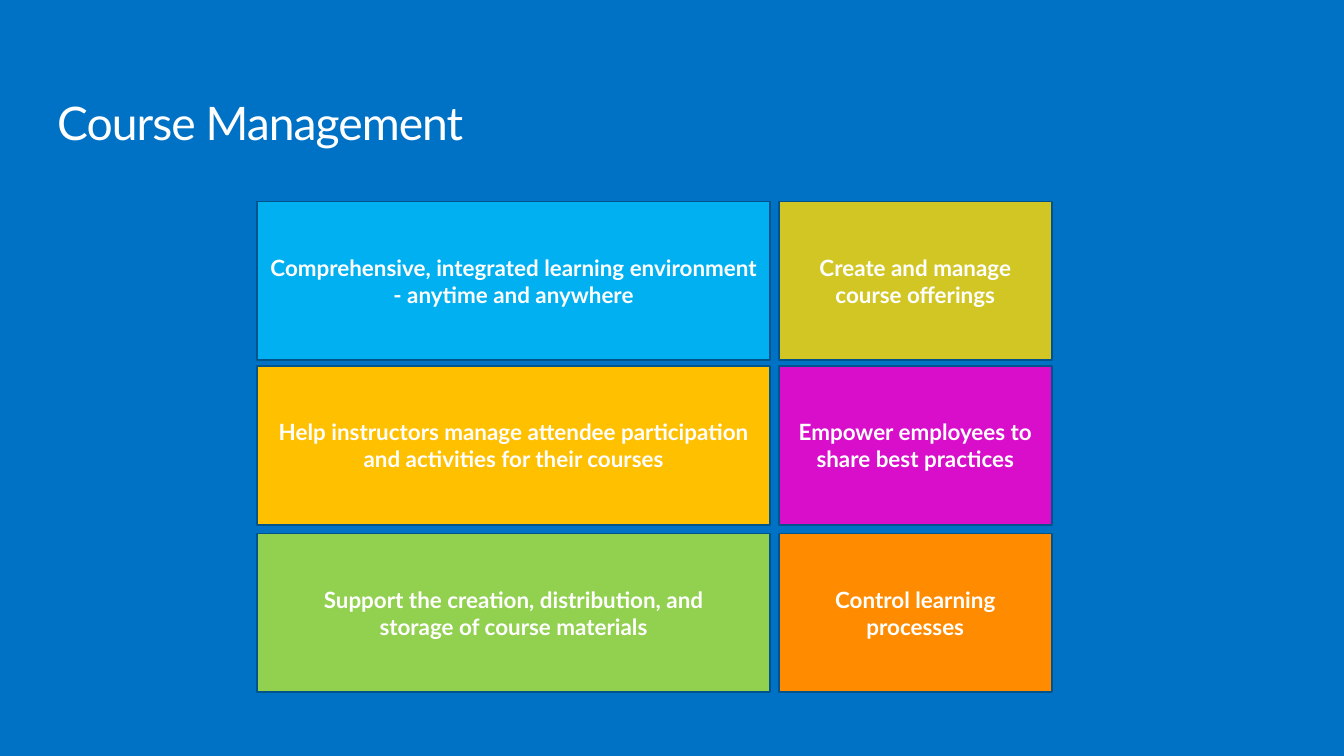
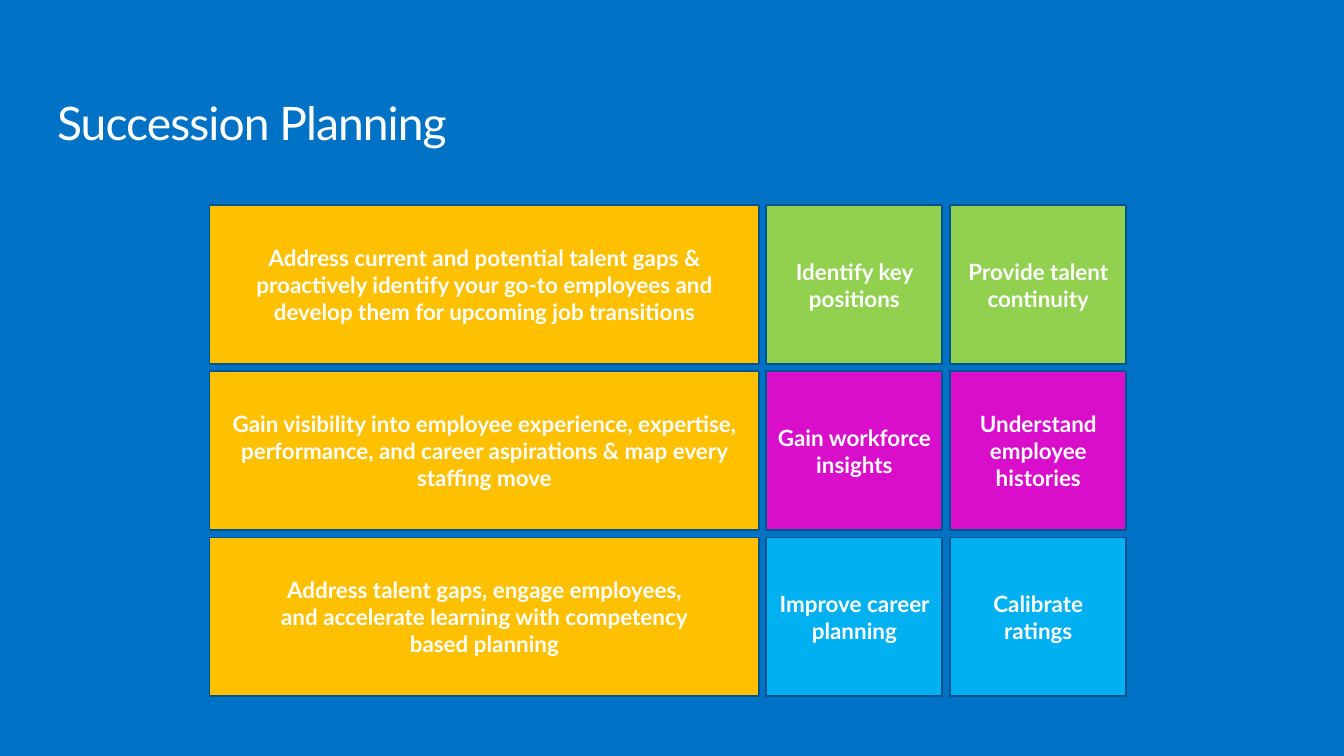
import pptx
import pptx.dml.color
import pptx.enum.shapes
import pptx.enum.text
import pptx.util

Cm = pptx.util.Cm
Pt = pptx.util.Pt
RGBColor = pptx.dml.color.RGBColor

BLUE = RGBColor(0x00, 0x72, 0xC6)
DARK_BLUE = RGBColor(0x00, 0x54, 0x8B)
SKY = RGBColor(0x00, 0xB0, 0xF0)
GREEN = RGBColor(0x92, 0xD0, 0x50)
AMBER = RGBColor(0xFF, 0xC0, 0x00)
OLIVE = RGBColor(0xD2, 0xC6, 0x24)
MAGENTA = RGBColor(0xD8, 0x0E, 0xCA)
ORANGE = RGBColor(0xFF, 0x8C, 0x00)
WHITE = RGBColor(0xFF, 0xFF, 0xFF)
FONT = "Lato"
TILE_HEIGHT = 6

COURSE_COLUMNS = [(9.72, 19.38), (29.44, 10.31)]
COURSE_TOPS = [7.62, 13.84, 20.17]
COURSE_TILES = [
    [("Comprehensive, integrated learning environment - anytime and anywhere", SKY),
     ("Create and manage course offerings", OLIVE)],
    [("Help instructors manage attendee participation and activities for their courses", AMBER),
     ("Empower employees to share best practices", MAGENTA)],
    [("Support the creation, distribution, and\nstorage of course materials", GREEN),
     ("Control learning processes", ORANGE)],
]

SUCCESSION_COLUMNS = [(7.92, 20.78), (28.97, 6.65), (35.92, 6.65)]
SUCCESSION_TOPS = [7.76 + 6.28 * row for row in range(3)]
SUCCESSION_TILES = [
    [("Address current and potential talent gaps & proactively identify your go-to "
      "employees and develop them for upcoming job transitions", AMBER),
     ("Identify key positions", GREEN),
     ("Provide talent continuity", GREEN)],
    [("Gain visibility into employee experience, expertise, performance, and career "
      "aspirations & map every staffing move", AMBER),
     ("Gain workforce insights", MAGENTA),
     ("Understand employee histories", MAGENTA)],
    [("Address talent gaps, engage employees,\nand accelerate learning with competency\n"
      "based planning", AMBER),
     ("Improve career planning", SKY),
     ("Calibrate ratings", SKY)],
]


def style_font(paragraph, size, bold=False):
    font = paragraph.font
    font.name = FONT
    font.size = Pt(size)
    font.bold = bold
    font.color.rgb = WHITE


def add_title(page, text):
    box = page.shapes.add_textbox(Cm(2.16), Cm(3.81), Cm(46.46), Cm(1.9))
    frame = box.text_frame
    frame.word_wrap = True
    frame.margin_left = frame.margin_right = frame.margin_top = frame.margin_bottom = 0
    paragraph = frame.paragraphs[0]
    paragraph.line_spacing = 0.9
    style_font(paragraph, 49.5)
    span = paragraph.add_run()
    span.text = text
    span._r.get_or_add_rPr().set("spc", "-100")


def add_tile(page, left, top, width, text, color):
    tile = page.shapes.add_shape(
        pptx.enum.shapes.MSO_SHAPE.RECTANGLE, Cm(left), Cm(top), Cm(width), Cm(TILE_HEIGHT))
    tile.shadow.inherit = False
    tile.fill.solid()
    tile.fill.fore_color.rgb = color
    tile.line.color.rgb = DARK_BLUE
    tile.line.width = Pt(2)
    frame = tile.text_frame
    frame.word_wrap = True
    frame.vertical_anchor = pptx.enum.text.MSO_ANCHOR.MIDDLE
    frame.text = text
    for paragraph in frame.paragraphs:
        paragraph.alignment = pptx.enum.text.PP_ALIGN.CENTER
        style_font(paragraph, 24, bold=True)


def add_page(deck, title, columns, tops, rows):
    page = deck.slides.add_slide(deck.slide_layouts[6])
    page.background.fill.solid()
    page.background.fill.fore_color.rgb = BLUE
    add_title(page, title)
    for top, tiles in zip(tops, rows):
        for (left, width), (text, color) in zip(columns, tiles):
            add_tile(page, left, top, width, text, color)


def main():
    deck = pptx.Presentation()
    deck.slide_width = Cm(50.8)
    deck.slide_height = Cm(28.58)
    add_page(deck, "Course Management", COURSE_COLUMNS, COURSE_TOPS, COURSE_TILES)
    add_page(deck, "Succession Planning", SUCCESSION_COLUMNS, SUCCESSION_TOPS, SUCCESSION_TILES)
    deck.save("out.pptx")


if __name__ == "__main__":
    main()
